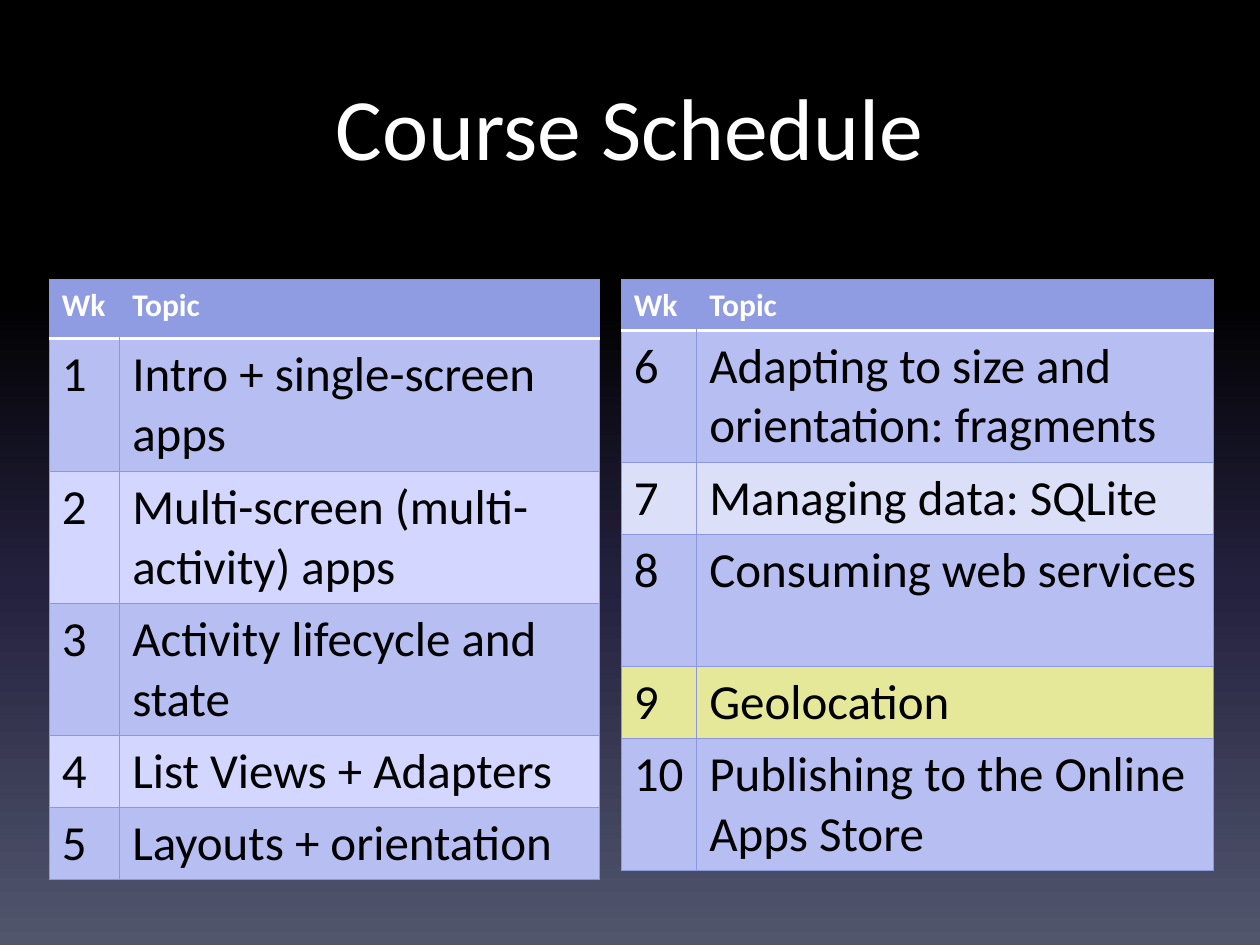
from dataclasses import dataclass

import pptx
import pptx.dml.color
import pptx.enum.text
import pptx.oxml
import pptx.oxml.ns
import pptx.util
from pptx.util import Inches


@dataclass(frozen=True)
class Theme:
    font: str = "Calibri"
    title_size: int = 50
    header_size: int = 18
    body_size: int = 28
    white: str = "FFFFFF"
    black: str = "000000"
    header: str = "909CE1"
    band: str = "B6BEF2"
    plain: str = "D3D6FF"
    pale: str = "DBDFF8"
    current: str = "E5E899"
    border: str = "8B97DE"
    backdrop: tuple = ((0, "000000"), (31, "000000"), (62, "24213E"), (100, "51566D"))


THEME = Theme()

# Each week: number, topic, row height, fill
FIRST_HALF = [
    ("1", "Intro + single-screen apps", 1.05, THEME.band),
    ("2", "Multi-screen (multi-activity) apps", 1.05, THEME.plain),
    ("3", "Activity lifecycle and state", 1.05, THEME.band),
    ("4", "List Views + Adapters", 0.57, THEME.plain),
    ("5", "Layouts + orientation", 0.57, THEME.band),
]
SECOND_HALF = [
    ("6", "Adapting to size and orientation: fragments", 1.05, THEME.band),
    ("7", "Managing data: SQLite", 0.57, THEME.pale),
    ("8", "Consuming web services", 1.05, THEME.band),
    ("9", "Geolocation", 0.57, THEME.current),
    ("10", "Publishing to the Online Apps Store", 1.05, THEME.band),
]


def rgb(value):
    return pptx.dml.color.RGBColor.from_string(value)


def write(frame, text, color, **font_format):
    para = frame.paragraphs[0]
    span = para.add_run()
    span.text = text
    span.font.color.rgb = rgb(color)
    for name, value in {"name": THEME.font, **font_format}.items():
        setattr(span.font, name, value)
    return para


def paint_background(page):
    fill = page.background.fill
    fill.gradient()
    fill.gradient_angle = 270
    stops = page.background._cSld.find(".//" + pptx.oxml.ns.qn("a:gsLst"))
    for stop in list(stops):
        stops.remove(stop)
    for percent, color in THEME.backdrop:
        stops.append(pptx.oxml.parse_xml(
            f'<a:gs {pptx.oxml.ns.nsdecls("a")} pos="{percent * 1000}">'
            f'<a:srgbClr val="{color}"/></a:gs>'))


def add_title(page, text, left, top, width, height):
    frame = page.shapes.add_textbox(left, top, width, height).text_frame
    settings = {"word_wrap": True, "margin_top": Inches(0.08),
                "vertical_anchor": pptx.enum.text.MSO_ANCHOR.TOP}
    for name, value in settings.items():
        setattr(frame, name, value)
    para = write(frame, text, THEME.white, size=pptx.util.Pt(THEME.title_size))
    para.alignment = pptx.enum.text.PP_ALIGN.CENTER


def set_borders(cell, borders):
    """Draw the sides given as {side: (colour, points)}, and leave the others bare."""
    properties = cell._tc.get_or_add_tcPr()
    for index, side in enumerate("LRTB"):
        color, points = borders.get(side, (None, 0))
        paint = f'<a:solidFill><a:srgbClr val="{color}"/></a:solidFill>' if color else "<a:noFill/>"
        properties.insert(index, pptx.oxml.parse_xml(
            f'<a:ln{side} {pptx.oxml.ns.nsdecls("a")} w="{pptx.util.Pt(points)}">'
            f'{paint}</a:ln{side}>'))


def add_schedule(page, weeks, header_height, column_widths, left, top):
    rows = [("Wk", "Topic", header_height, THEME.header), *weeks]
    heights = [row[2] for row in rows]
    table = page.shapes.add_table(
        len(rows), len(column_widths), left, top,
        Inches(sum(column_widths)), Inches(sum(heights))).table
    for column, width in zip(table.columns, column_widths):
        column.width = Inches(width)

    thin, rule = (THEME.border, 0.75), (THEME.white, 2)
    for row_index, (week, topic, height, fill) in enumerate(rows):
        table.rows[row_index].height = Inches(height)
        is_header = row_index == 0
        color = THEME.white if is_header else THEME.black
        size = THEME.header_size if is_header else THEME.body_size
        for column_index, text in enumerate((week, topic)):
            cell = table.cell(row_index, column_index)
            cell.fill.solid()
            cell.fill.fore_color.rgb = rgb(fill)
            write(cell.text_frame, text, color, size=pptx.util.Pt(size), bold=is_header)
            borders = dict.fromkeys("LRTB", thin)
            if is_header:
                borders["B"] = rule
                del borders["RL"[column_index]]
            elif row_index == 1:
                borders["T"] = rule
            set_borders(cell, borders)


def main():
    deck = pptx.Presentation()
    deck.slide_width, deck.slide_height = Inches(10), Inches(7.5)
    page = deck.slides.add_slide(deck.slide_layouts[6])
    paint_background(page)
    add_title(page, "Course Schedule", Inches(0.5), Inches(0.5), Inches(9), Inches(1.25))
    table_top = Inches(2.22)
    add_schedule(page, FIRST_HALF, 0.47, (0.56, 3.81), Inches(0.39), table_top)
    add_schedule(page, SECOND_HALF, 0.4, (0.6, 4.1), Inches(4.93), table_top)
    deck.save("out.pptx")


if __name__ == "__main__":
    main()
